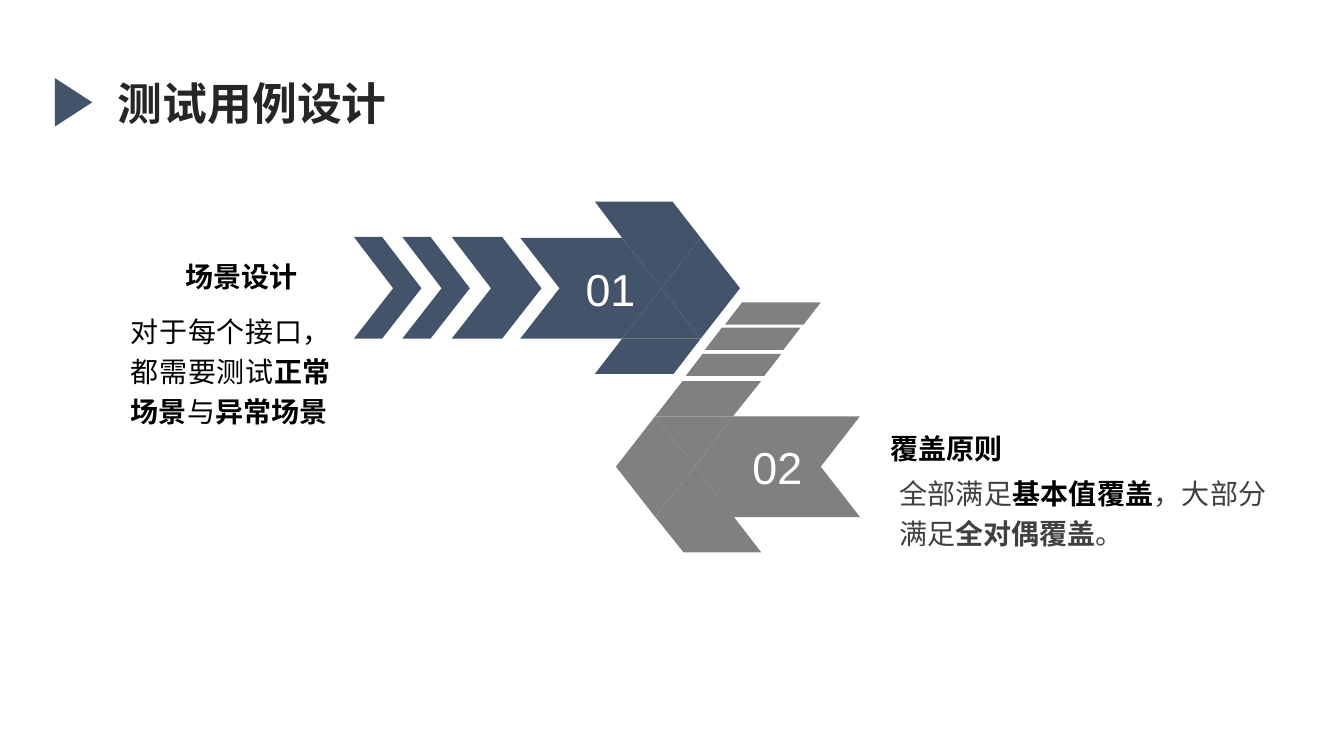
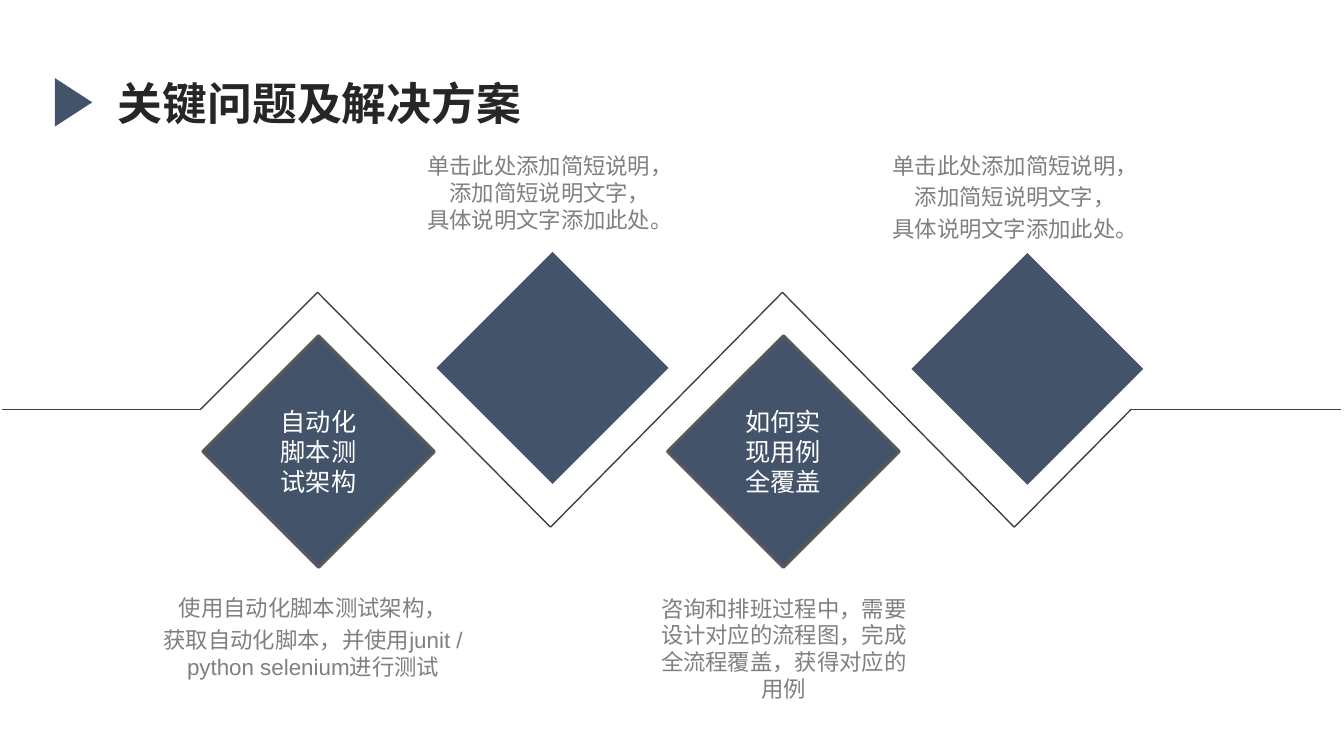
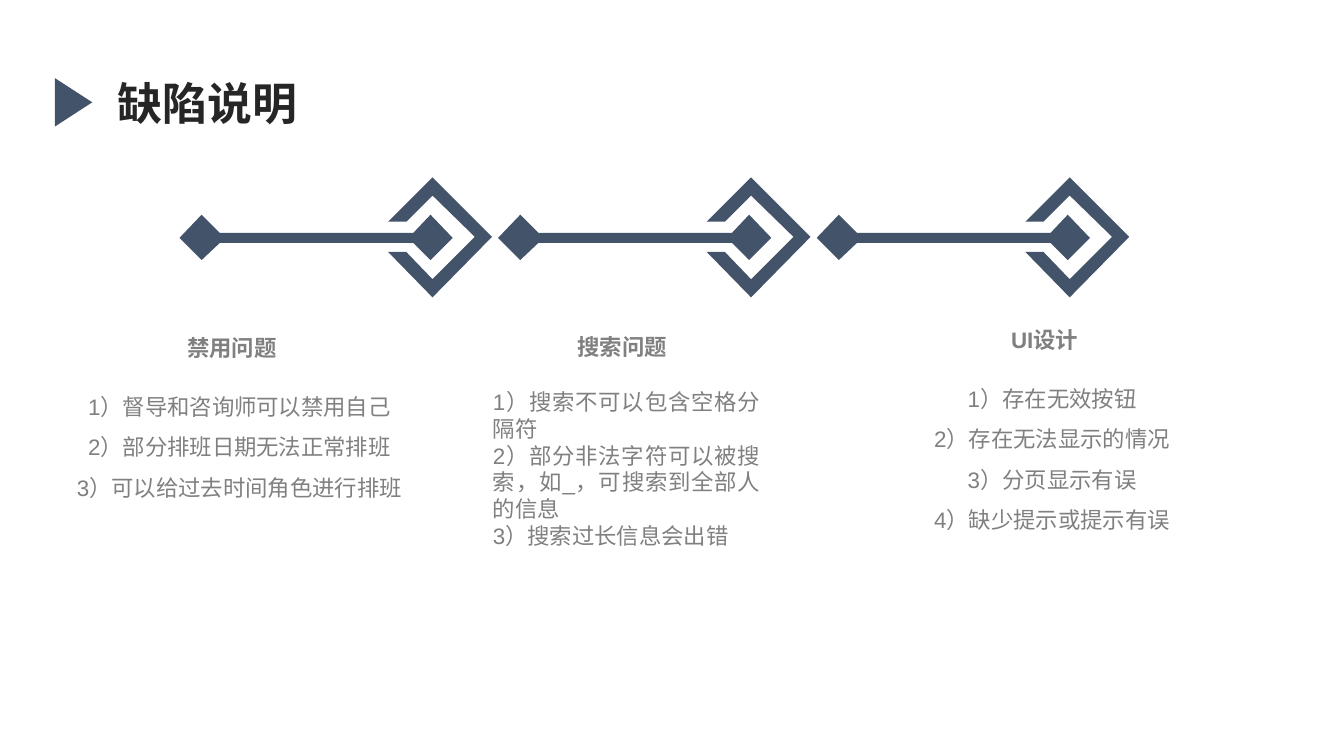
from itertools import pairwise

from lxml import etree
from pptx import Presentation
from pptx import util as u
from pptx.dml.color import RGBColor
from pptx.enum import shapes, text
from pptx.oxml.ns import qn

PX = 9144  # EMU in one px, 100 px to the inch


class Theme:
    navy, grey, edge = "435369", "808080", "595959"
    title, line, body = "262626", "404040", "404040"
    black, white = "000000", "FFFFFF"
    latin, cjk = "Arial", "Noto Sans CJK SC"
    title_size, number_size, lead_size, node_size, note_size = 32, 32, 20, 18, 16


LEFT, CENTER, JUSTIFY = (text.PP_ALIGN.LEFT, text.PP_ALIGN.CENTER,
                         text.PP_ALIGN.JUSTIFY)

# Run formats
TITLE = dict(size=Theme.title_size, color=Theme.title, bold=True)
NUMBER = dict(size=Theme.number_size, color=Theme.white)
LEAD = dict(size=Theme.lead_size, color=Theme.black, bold=True)
PLAIN = dict(size=Theme.lead_size, color=Theme.black, name=Theme.cjk)
STRONG = dict(PLAIN, bold=True)
SOFT = dict(PLAIN, color=Theme.body)
SOFT_STRONG = dict(SOFT, bold=True)
NODE = dict(size=Theme.node_size, color=Theme.white)
NOTE = dict(size=Theme.note_size, color=Theme.grey)
NOTE_HEAD = dict(NOTE, bold=True)

# Slide 1: arrow pieces as (colour, label, points)
ARROW_PIECES = [
    (Theme.grey, "02", [(853, 413), (727, 413), (689, 463), (728, 513),
                        (853, 513), (814, 463)]),
    (Theme.grey, "", [(728, 513), (650, 513), (678, 548), (755, 548)]),
    (Theme.grey, "", [(689, 463), (650, 513), (728, 513)]),
    (Theme.grey, "", [(755, 378), (677, 378), (611, 463), (650, 513),
                      (611, 463), (650, 413), (727, 413)]),
    (Theme.grey, "", [(727, 413), (650, 413), (689, 463)]),
    (Theme.grey, "", [(650, 413), (611, 463), (650, 513), (689, 463)]),
    (Theme.navy, "01", [(617, 236), (516, 236), (555, 286), (516, 336),
                        (617, 336), (656, 286), (617, 236), (695, 236)]),
    (Theme.navy, "", [(667, 200), (590, 200), (617, 236), (695, 236)]),
    (Theme.navy, "", [(695, 236), (617, 236), (656, 286)]),
    (Theme.navy, "", [(695, 336), (617, 336), (590, 371), (668, 371)]),
    (Theme.navy, "", [(656, 286), (617, 336), (695, 336)]),
    (Theme.navy, "", [(695, 236), (656, 286), (695, 336), (734, 286)]),
]
STRIPES = [(680, 351), (699, 325), (719, 300)]  # left, top
CHEVRONS = [(448, 50), (399, 28), (351, 28)]    # left, band width
HEADINGS = [("覆盖原则", (799, 407, 280, 56)), ("场景设计", (86, 236, 308, 56))]
RULES = [
    ((882, 461, 384, 87), [("全部满足", SOFT), ("基本值覆盖", LEAD),
                           ("，大部分满足", SOFT), ("全对偶覆盖", SOFT_STRONG),
                           ("。", SOFT)]),
    ((120, 300, 218, 129), [("对于每个接口，都需要测试", PLAIN), ("正常场景", STRONG),
                            ("与", PLAIN), ("异常场景", STRONG)]),
]

# Slide 2
ZIGZAG = [(2, 406), (199, 406), (315, 290), (546, 523), (776, 290),
          (1006, 523), (1122, 406), (1330, 406)]
DIAMOND = 230
DIAMONDS = [(201, 333, "自动化脚本测试架构"), (433, 250, ""),
            (662, 333, "如何实现用例全覆盖"), (904, 251, "")]
HINT = ["单击此处添加简短说明，", "添加简短说明文字，", "具体说明文字添加此处。"]
NOTES = [  # box, space between paragraphs, paragraphs
    ((143, 585, 335, 96), 3.2,
     ["使用自动化脚本测试架构，", "获取自动化脚本，并使用junit / python selenium进行测试"]),
    ((404, 146, 283, 91), 0, HINT),
    ((635, 585, 285, 118), 0,
     ["咨询和排班过程中，需要设计对应的流程图，完成全流程覆盖，获得对应的用例"]),
    ((865, 146, 284, 101), 3.2, HINT),
]

# Slide 3: shapes relative to the left end of each step
STEP_LEFTS = [178, 494, 810]
DUMBBELL = [(249, 258), (271, 236), (249, 213), (232, 231), (40, 231), (22, 213),
            (0, 236), (22, 258), (40, 241), (232, 241)]
BRACKET = [(251, 176), (207, 220), (225, 220), (251, 194), (293, 235), (251, 277),
           (225, 250), (207, 250), (251, 295), (310, 235)]
DEFECTS = [  # heading, heading box, items box, item alignment, line spacing, items
    ("禁用问题", (83, 327, 294, 37), (12, 372, 451, 126), CENTER, 1.5,
     ["1）督导和咨询师可以禁用自己", "2）部分排班日期无法正常排班",
      "3）可以给过去时间角色进行排班"]),
    ("搜索问题", (524, 326, 186, 37), (479, 380, 285, 172), JUSTIFY, None,
     ["1）搜索不可以包含空格分隔符", "2）部分非法字符可以被搜索，如_，可搜索到全部人的信息",
      "3）搜索过长信息会出错"]),
    ("UI设计", (889, 319, 294, 37), (818, 364, 451, 167), CENTER, 1.5,
     ["1）存在无效按钮", "2）存在无法显示的情况", "3）分页显示有误", "4）缺少提示或提示有误"]),
]


def px(*lengths):
    return [u.Emu(n * PX) for n in lengths]


def rgb(color):
    return RGBColor.from_string(color)


def write(frame, paragraphs, align=LEFT, spacing=None, gap=0):
    """Fill a frame; each paragraph is a list of (words, format) runs."""
    frame.word_wrap = True
    for i, runs in enumerate(paragraphs):
        para = frame.paragraphs[0] if i == 0 else frame.add_paragraph()
        para.alignment = align
        if spacing:
            para.line_spacing = spacing
        if i and gap:
            para.space_before = u.Pt(gap)
        for words, style in runs:
            run = para.add_run()
            run.text = words
            values = {"name": Theme.latin, "bold": False, **style}
            run.font.color.rgb = rgb(values.pop("color"))
            values["size"] = u.Pt(values["size"])
            for key, value in values.items():
                setattr(run.font, key, value)


def add_text(slide, box, paragraphs, insets=None, **layout):
    frame = slide.shapes.add_textbox(*px(*box)).text_frame
    write(frame, paragraphs, **layout)
    frame.auto_size = text.MSO_AUTO_SIZE.SHAPE_TO_FIT_TEXT
    for side, inset in (insets or {}).items():
        setattr(frame, f"margin_{side}", u.Emu(inset * PX))


def paint(shape, color, edge=None, label="", style=NODE):
    shape.shadow.inherit = False
    shape.fill.solid()
    shape.fill.fore_color.rgb = rgb(color)
    if edge:
        shape.line.color.rgb = rgb(edge)
        shape.line.width = u.Pt(2)
    else:
        shape.line.fill.background()
    if label:
        shape.text_frame.vertical_anchor = text.MSO_ANCHOR.MIDDLE
        write(shape.text_frame, [[(label, style)]], CENTER)


def add_outline(slide, points, color, label=""):
    builder = slide.shapes.build_freeform(*points[0], scale=PX)
    builder.add_line_segments(points[1:], close=True)
    paint(builder.convert_to_shape(), color, label=label, style=NUMBER)


def add_line(slide, start, end):
    line = slide.shapes.add_connector(shapes.MSO_CONNECTOR.STRAIGHT,
                                      *px(*start, *end))
    line.line.color.rgb = rgb(Theme.line)
    line.line.width = u.Pt(1)
    etree.SubElement(line._element.spPr, qn("a:effectLst"))


def new_slide(deck, title, title_width=313):
    slide = deck.slides.add_slide(deck.slide_layouts[6])
    marker = slide.shapes.add_shape(shapes.MSO_SHAPE.ISOSCELES_TRIANGLE,
                                    *px(49, 83, 48, 37))
    marker.rotation = 90
    paint(marker, Theme.navy)
    add_text(slide, (107, 70, title_width, 64), [[(title, TITLE)]])
    return slide


def build_design(deck):
    slide = new_slide(deck, "测试用例设计")
    for color, label, points in ARROW_PIECES:
        add_outline(slide, points, color, label)
    for x, y in STRIPES:
        add_outline(slide, [(x + 95, y), (x + 17, y), (x, y + 22), (x + 78, y + 22)],
                    Theme.grey)
    for x, band in CHEVRONS:
        add_outline(slide, [(x, 235), (x + band, 235), (x + band + 39, 286),
                            (x + band, 336), (x, 336), (x + 39, 286)], Theme.navy)
    for heading, box in HEADINGS:
        add_text(slide, box, [[(heading, LEAD)]], align=CENTER, spacing=1.5,
                 insets=dict(left=13, top=5, right=13, bottom=7))
    for box, runs in RULES:
        add_text(slide, box, [runs], align=JUSTIFY, spacing=1.2)


def build_problems(deck):
    slide = new_slide(deck, "关键问题及解决方案", 448)
    for start, end in pairwise(ZIGZAG):
        add_line(slide, start, end)
    for x, y, label in DIAMONDS:
        diamond = slide.shapes.add_shape(shapes.MSO_SHAPE.DIAMOND,
                                         *px(x, y, DIAMOND, DIAMOND))
        paint(diamond, Theme.navy, Theme.edge if label else None, label)
    for box, gap, lines in NOTES:
        add_text(slide, box, [[(line, NOTE)] for line in lines],
                 align=CENTER, gap=gap)


def build_defects(deck):
    slide = new_slide(deck, "缺陷说明")
    for left in STEP_LEFTS:
        for outline in (DUMBBELL, BRACKET):
            add_outline(slide, [(left + x, y) for x, y in outline], Theme.navy)
    for heading, heading_box, items_box, align, spacing, items in DEFECTS:
        add_text(slide, heading_box, [[(heading, NOTE_HEAD)]], align=CENTER)
        add_text(slide, items_box, [[(item, NOTE)] for item in items],
                 align=align, spacing=spacing)


def main():
    deck = Presentation()
    deck.slide_width, deck.slide_height = px(1333, 750)
    for build in (build_design, build_problems, build_defects):
        build(deck)
    deck.save("out.pptx")


if __name__ == "__main__":
    main()
